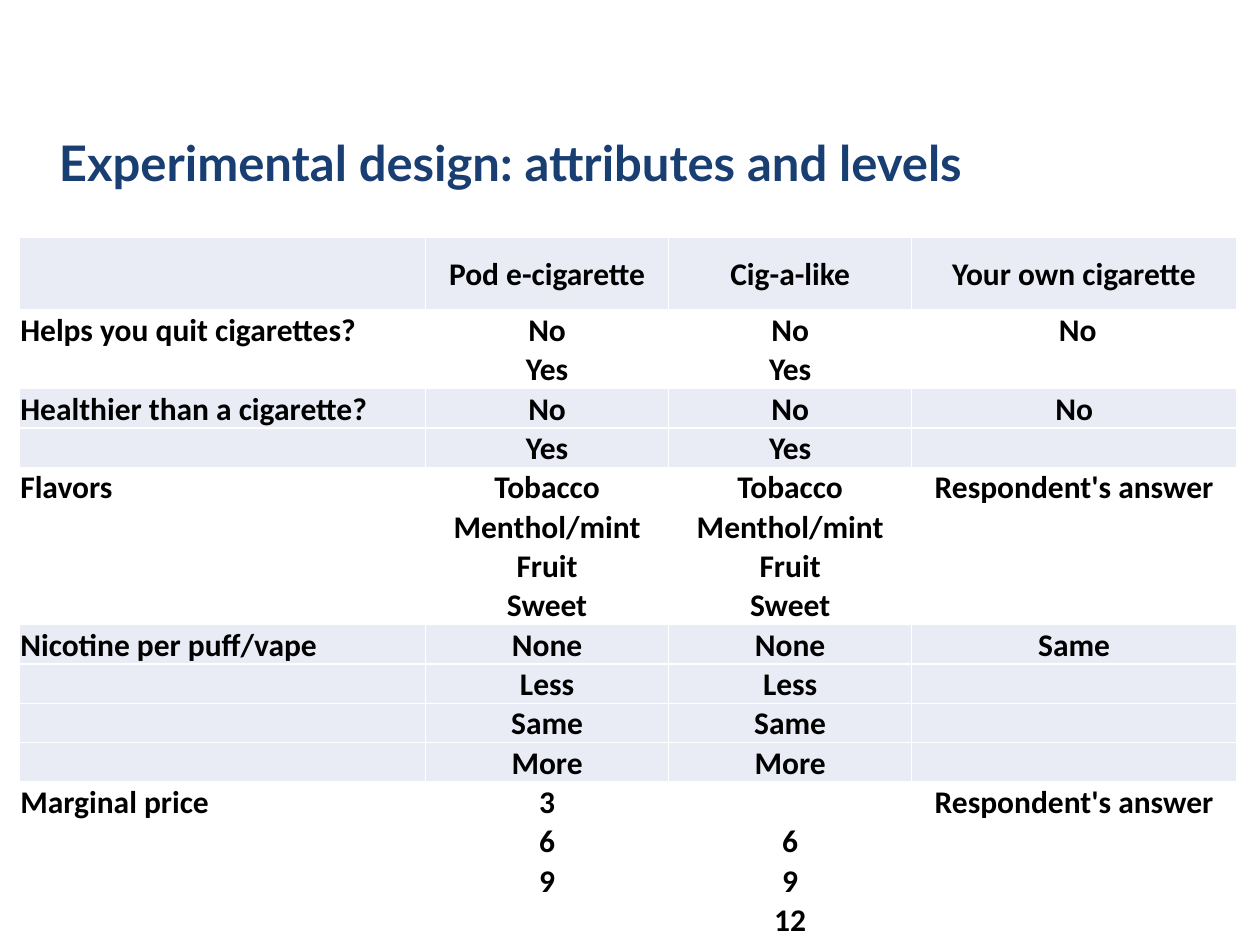
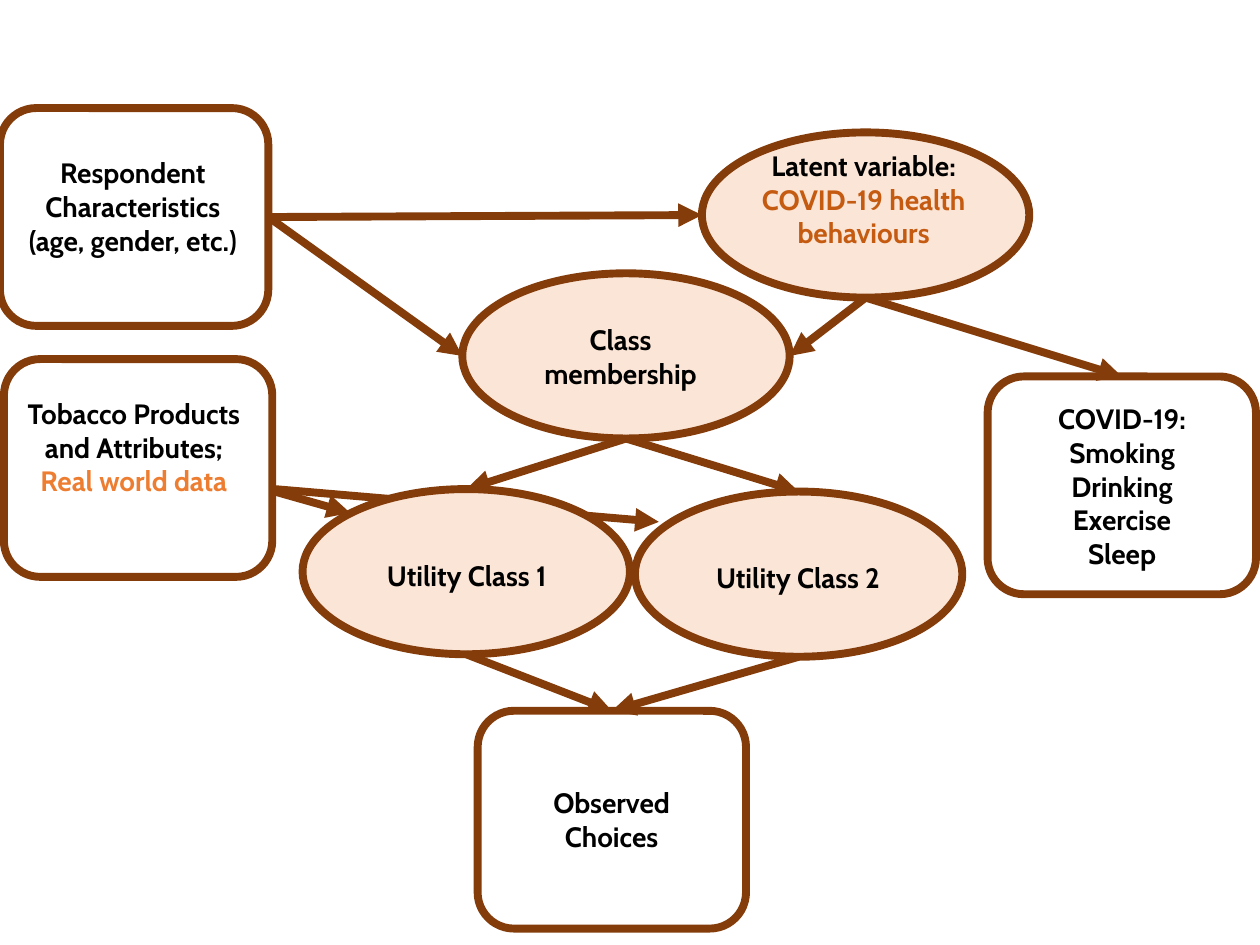
from lxml.etree import SubElement
from pptx import Presentation
from pptx.dml.color import RGBColor
from pptx.enum.shapes import MSO_CONNECTOR, MSO_SHAPE
from pptx.enum.text import MSO_ANCHOR, MSO_AUTO_SIZE, PP_ALIGN
from pptx.oxml import parse_xml
from pptx.oxml.ns import nsdecls, qn
from pptx.util import Cm, Pt

# Shared look
COLOURS = {"title": "193E72", "text": "000000", "band": "E9EBF5", "plain": "FFFFFF",
           "outline": "843C0B", "oval": "FBE5D6", "data": "ED7D31", "covid": "C55A11"}
TITLE_FONT = {"name": "Lato", "size": Pt(28), "bold": True}
TABLE_FONT = {"name": "Calibri", "size": Pt(18), "bold": True}
LABEL_FONT = {"name": "Cabin", "size": Pt(16), "bold": True}
CELL_FORMAT = {"margin_left": Cm(0.03), "margin_right": Cm(0.03),
               "margin_top": Cm(0.03), "margin_bottom": 0}
TABLE_FLAGS = {"first_row": False, "horz_banding": False}
FRAME_FORMAT = {"word_wrap": True, "auto_size": MSO_AUTO_SIZE.SHAPE_TO_FIT_TEXT,
                "vertical_anchor": MSO_ANCHOR.TOP}

# Slide 1 content: attribute, then its levels for each product
TITLE = "Experimental design: attributes and levels"
PRODUCTS = ["", "Pod e-cigarette", "Cig-a-like", "Your own cigarette"]
NO_YES = ["No", "Yes"]
FLAVORS = ["Tobacco", "Menthol/mint", "Fruit", "Sweet"]
NICOTINE = ["None", "Less", "Same", "More"]
ATTRIBUTES = [
    ("Helps you quit cigarettes?", NO_YES, NO_YES, [" No"]),
    ("Healthier than a cigarette?", NO_YES, NO_YES, ["No"]),
    ("Flavors", FLAVORS, FLAVORS, ["Respondent's answer"]),
    ("Nicotine per puff/vape", NICOTINE, NICOTINE, ["Same"]),
    ("Marginal price", ["3", "6", "9"], ["", "6", "9", "12"], ["Respondent's answer"]),
]
COLUMN_WIDTHS = [8.2, 4.9, 4.9, 6.55]
HEADER_HEIGHT, LEVEL_HEIGHT = 1.47, 0.78

# Slide 2 content: kind, corner, label corner, label height, paragraphs of (text, colour)
NODES = {
    "tobacco": ("box", (0.08, 7.24), (0.3, 7.87), 3.0,
                [[("Tobacco Products and Attributes; ", "text"), ("Real world data", "data")]]),
    "choices": ("box", (9.63, 14.33), (9.93, 15.72), 1.63, [[("Observed Choices", "text")]]),
    "respondent": ("box", (0, 2.18), (0.28, 3.02), 3.0,
                   [[("Respondent Characteristics (age, gender, etc.)", "text")]]),
    "behaviours": ("box", (19.91, 7.59), (20.22, 7.98), 3.68,
                   [[(line, "text")] for line in
                    ("COVID-19: Smoking", "Drinking", "Exercise", "Sleep")]),
    "utility 1": ("oval", (6.1, 9.86), (7.01, 11.13), 0.94, [[("Utility Class 1", "text")]]),
    "utility 2": ("oval", (12.8, 9.91), (13.69, 11.18), 0.94, [[("Utility Class 2", "text")]]),
    "class": ("oval", (9.32, 5.51), (10.11, 6.38), 1.63, [[("Class membership", "text")]]),
    "latent": ("oval", (14.15, 2.67), (15.01, 2.87), 3.0,
               [[("Latent variable: ", "text"), ("COVID-19 health behaviours", "covid")]]),
}
KINDS = {"box": (MSO_SHAPE.ROUNDED_RECTANGLE, 5.41, 4.39),
         "oval": (MSO_SHAPE.OVAL, 6.6, 3.33)}
LABEL_WIDTH = 4.8
TOP, LEFT, BOTTOM, RIGHT = range(4)
SIDES = {TOP: (0.5, 0), LEFT: (0, 0.5), BOTTOM: (0.5, 1), RIGHT: (1, 0.5)}
TOBACCO_PATHS = [((5.54, 9.86), (13.28, 10.52)), ((5.54, 9.91), (7.06, 10.34))]
PATHS = [
    ("utility 2", BOTTOM, "choices", TOP),
    ("utility 1", BOTTOM, "choices", TOP),
    ("class", BOTTOM, "utility 2", TOP),
    ("class", BOTTOM, "utility 1", TOP),
    ("latent", BOTTOM, "behaviours", TOP),
    ("respondent", RIGHT, "latent", LEFT),
    ("respondent", RIGHT, "class", LEFT),
    ("latent", BOTTOM, "class", RIGHT),
]


def rgb(name):
    return RGBColor.from_string(COLOURS[name])


def apply(target, values):
    for attribute, value in values.items():
        setattr(target, attribute, value)


def fill_with(target, colour):
    target.fill.solid()
    target.fill.fore_color.rgb = rgb(colour)


def write(paragraph, runs, font, align):
    paragraph.alignment = align
    for text, colour in runs:
        run = paragraph.add_run()
        run.text = text
        apply(run.font, font)
        run.font.color.rgb = rgb(colour)


def write_frame(frame, paragraphs, font, align):
    apply(frame, FRAME_FORMAT)
    for i, runs in enumerate(paragraphs):
        paragraph = frame.add_paragraph() if i else frame.paragraphs[0]
        write(paragraph, runs, font, align)


def draw_cell(cell, text, colour, align, anchor):
    apply(cell, CELL_FORMAT)
    cell.vertical_anchor = anchor
    fill_with(cell, colour)
    if text:
        write(cell.text_frame.paragraphs[0], [(text, "text")], TABLE_FONT, align)
    for i, edge in enumerate(("lnL", "lnR", "lnT", "lnB")):
        border = parse_xml(f'<a:{edge} {nsdecls("a")} w="12700"><a:solidFill>'
                           f'<a:srgbClr val="{COLOURS["plain"]}"/></a:solidFill></a:{edge}>')
        cell._tc.get_or_add_tcPr().insert(i, border)


def table_rows():
    """Each row of texts with its band colour; an attribute takes one row per level."""
    rows = [(PRODUCTS, "band")]
    for i, (attribute, *levels) in enumerate(ATTRIBUTES):
        columns = [[attribute], *levels]
        for k in range(max(map(len, columns))):
            texts = [column[k] if k < len(column) else "" for column in columns]
            rows.append((texts, "band" if i % 2 else "plain"))
    return rows


def draw_design(slide):
    title = slide.shapes.add_textbox(Cm(0.94), Cm(2.54), Cm(20.22), Cm(5.38))
    write_frame(title.text_frame, [[(TITLE, "title")]], TITLE_FONT, PP_ALIGN.JUSTIFY)

    rows = table_rows()
    heights = [HEADER_HEIGHT] + [LEVEL_HEIGHT] * (len(rows) - 1)
    design = slide.shapes.add_table(len(rows), len(PRODUCTS), Cm(0.38), Cm(4.78),
                                    Cm(sum(COLUMN_WIDTHS)), Cm(sum(heights))).table
    apply(design, TABLE_FLAGS)
    for column, width in zip(design.columns, COLUMN_WIDTHS):
        column.width = Cm(width)
    for r, (texts, colour) in enumerate(rows):
        design.rows[r].height = Cm(heights[r])
        anchor = MSO_ANCHOR.BOTTOM if r else MSO_ANCHOR.MIDDLE
        for c, text in enumerate(texts):
            align = PP_ALIGN.CENTER if c else PP_ALIGN.LEFT
            draw_cell(design.cell(r, c), text, colour, align, anchor)


def draw_node(slide, kind, corner, label_corner, label_height, paragraphs):
    preset, width, height = KINDS[kind]
    node = slide.shapes.add_shape(preset, *map(Cm, (*corner, width, height)))
    node.shadow.inherit = False
    node.line.color.rgb = rgb("outline")
    node.line.width = Pt(4.5)
    if kind == "oval":
        fill_with(node, "oval")
    else:
        node.fill.background()
    label = slide.shapes.add_textbox(*map(Cm, (*label_corner, LABEL_WIDTH, label_height)))
    write_frame(label.text_frame, paragraphs, LABEL_FONT, PP_ALIGN.CENTER)
    return node


def draw_arrow(slide, start, end):
    arrow = slide.shapes.add_connector(MSO_CONNECTOR.STRAIGHT, *start, *end)
    arrow.line.color.rgb = rgb("outline")
    arrow.line.width = Pt(4.5)
    SubElement(arrow.line._get_or_add_ln(), qn("a:tailEnd"), type="triangle")
    SubElement(arrow._element.spPr, qn("a:effectLst"))
    return arrow


def side_point(node, side):
    across, down = SIDES[side]
    return int(node.left + across * node.width), int(node.top + down * node.height)


def draw_model(slide):
    # Arrows that pass behind the utility classes
    for start, end in TOBACCO_PATHS:
        draw_arrow(slide, map(Cm, start), map(Cm, end))
    nodes = {name: draw_node(slide, *parts) for name, parts in NODES.items()}
    # Arrows between nodes, joined where they meet a box
    for source, out_side, target, in_side in PATHS:
        arrow = draw_arrow(slide, side_point(nodes[source], out_side),
                           side_point(nodes[target], in_side))
        if NODES[source][0] == "box":
            arrow.begin_connect(nodes[source], out_side)
        if NODES[target][0] == "box":
            arrow.end_connect(nodes[target], in_side)


def main():
    deck = Presentation()
    apply(deck, {"slide_width": Cm(25.4), "slide_height": Cm(19.05)})
    for draw in (draw_design, draw_model):
        draw(deck.slides.add_slide(deck.slide_layouts[6]))
    deck.save("out.pptx")


if __name__ == "__main__":
    main()
